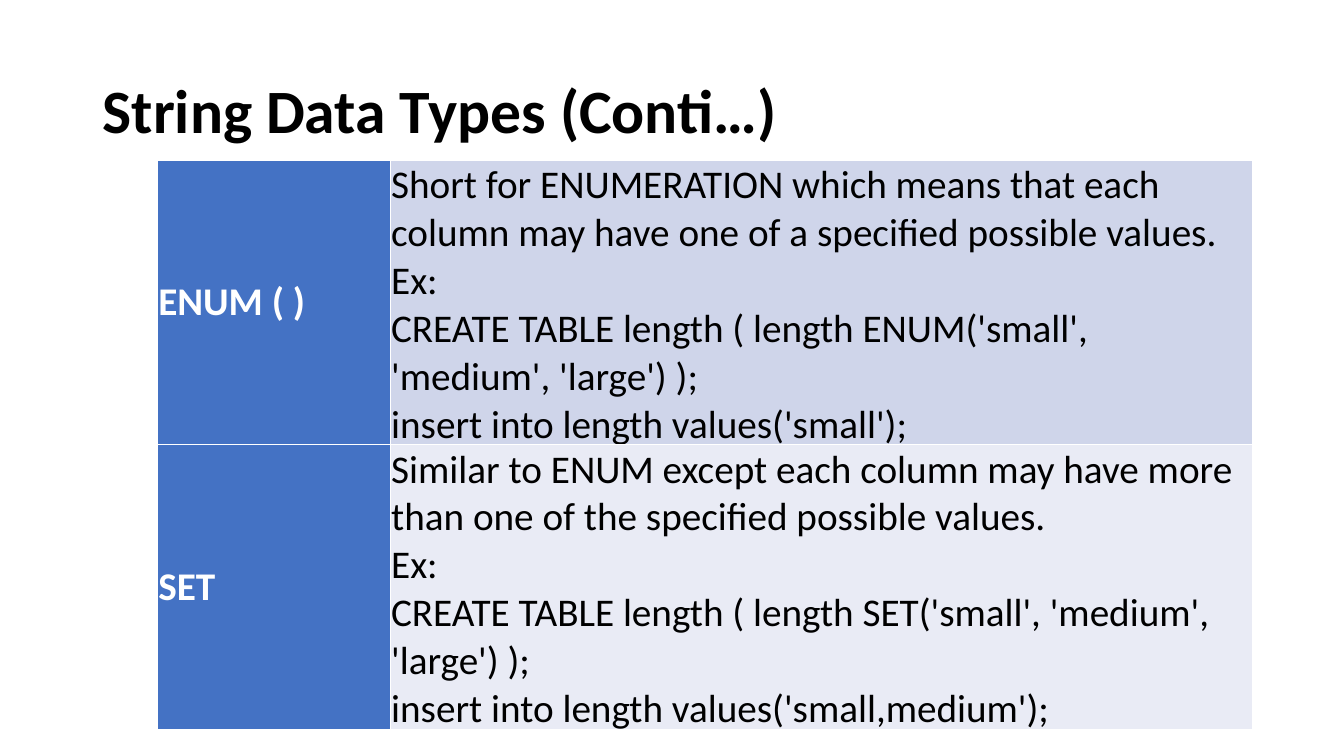
from dataclasses import dataclass

from lxml.etree import SubElement
from pptx import Presentation
from pptx.dml.color import RGBColor
from pptx.enum.text import MSO_ANCHOR
from pptx.oxml.ns import qn
from pptx.table import _Cell as Cell
from pptx.text.text import TextFrame
from pptx.util import Inches, Pt

BLACK = RGBColor(0x00, 0x00, 0x00)
WHITE = RGBColor(0xFF, 0xFF, 0xFF)
BLUE = RGBColor(0x44, 0x72, 0xC4)
BLUE_TINT = RGBColor(0xCF, 0xD5, 0xEA)
PALE_TINT = RGBColor(0xE9, 0xEB, 0xF5)
FONT = "Calibri"
CELL_INSET = Inches(0.01)


@dataclass(frozen=True)
class DataType:
    name: str
    description: str
    tint: RGBColor


DATA_TYPES = [
    DataType(
        "ENUM ( )",
        "Short for ENUMERATION which means that each column may have one of a "
        "specified possible values.\n"
        "Ex:\vCREATE TABLE length ( length ENUM('small', 'medium', 'large') );\n"
        "insert into length values('small');",
        BLUE_TINT,
    ),
    DataType(
        "SET",
        "Similar to ENUM except each column may have more than one of the "
        "specified possible values.\n"
        "Ex:\n"
        "CREATE TABLE length ( length SET('small', 'medium', 'large') );\n"
        "insert into length values('small,medium');",
        PALE_TINT,
    ),
]


def write(frame: TextFrame, text: str, size: int, color: RGBColor, bold: bool) -> None:
    frame.text = text
    for paragraph in frame.paragraphs:
        for run in paragraph.runs:
            run.font.name = FONT
            run.font.size = Pt(size)
            run.font.bold = bold
            run.font.color.rgb = color


def add_borders(cell: Cell) -> None:
    properties = cell._tc.get_or_add_tcPr()
    for position, side in enumerate(("lnL", "lnR", "lnT", "lnB")):
        border = SubElement(properties, qn(f"a:{side}"), w=str(Pt(1)))
        fill = SubElement(border, qn("a:solidFill"))
        SubElement(fill, qn("a:srgbClr"), val=str(WHITE))
        properties.insert(position, border)  # borders come before the fill


def fill_cell(cell: Cell, text: str, fill: RGBColor, color: RGBColor, bold: bool) -> None:
    cell.margin_left = cell.margin_right = CELL_INSET
    cell.margin_top = cell.margin_bottom = CELL_INSET
    cell.vertical_anchor = MSO_ANCHOR.MIDDLE
    cell.fill.solid()
    cell.fill.fore_color.rgb = fill
    write(cell.text_frame, text, 28, color, bold)
    add_borders(cell)


def main() -> None:
    prs = Presentation()
    prs.slide_width, prs.slide_height = Inches(13.33), Inches(7.5)
    slide = prs.slides.add_slide(prs.slide_layouts[6])

    # Title
    title = slide.shapes.add_textbox(
        Inches(0.92), Inches(0.4), Inches(11.5), Inches(1.45)
    ).text_frame
    title.word_wrap = True
    title.vertical_anchor = MSO_ANCHOR.MIDDLE
    write(title, "String Data Types (Conti…)", 44, BLACK, True)
    title.paragraphs[0].line_spacing = 0.9

    # Table of data types
    table = slide.shapes.add_table(
        len(DATA_TYPES), 2, Inches(1.56), Inches(1.59), Inches(10.86), Inches(5.64)
    ).table
    table.first_row = table.horz_banding = False
    table.first_col = True
    table.columns[0].width = Inches(2.31)
    table.columns[1].width = Inches(8.55)
    for row, data_type in enumerate(DATA_TYPES):
        fill_cell(table.cell(row, 0), data_type.name, BLUE, WHITE, True)
        fill_cell(table.cell(row, 1), data_type.description, data_type.tint, BLACK, False)

    prs.save("out.pptx")


if __name__ == "__main__":
    main()
